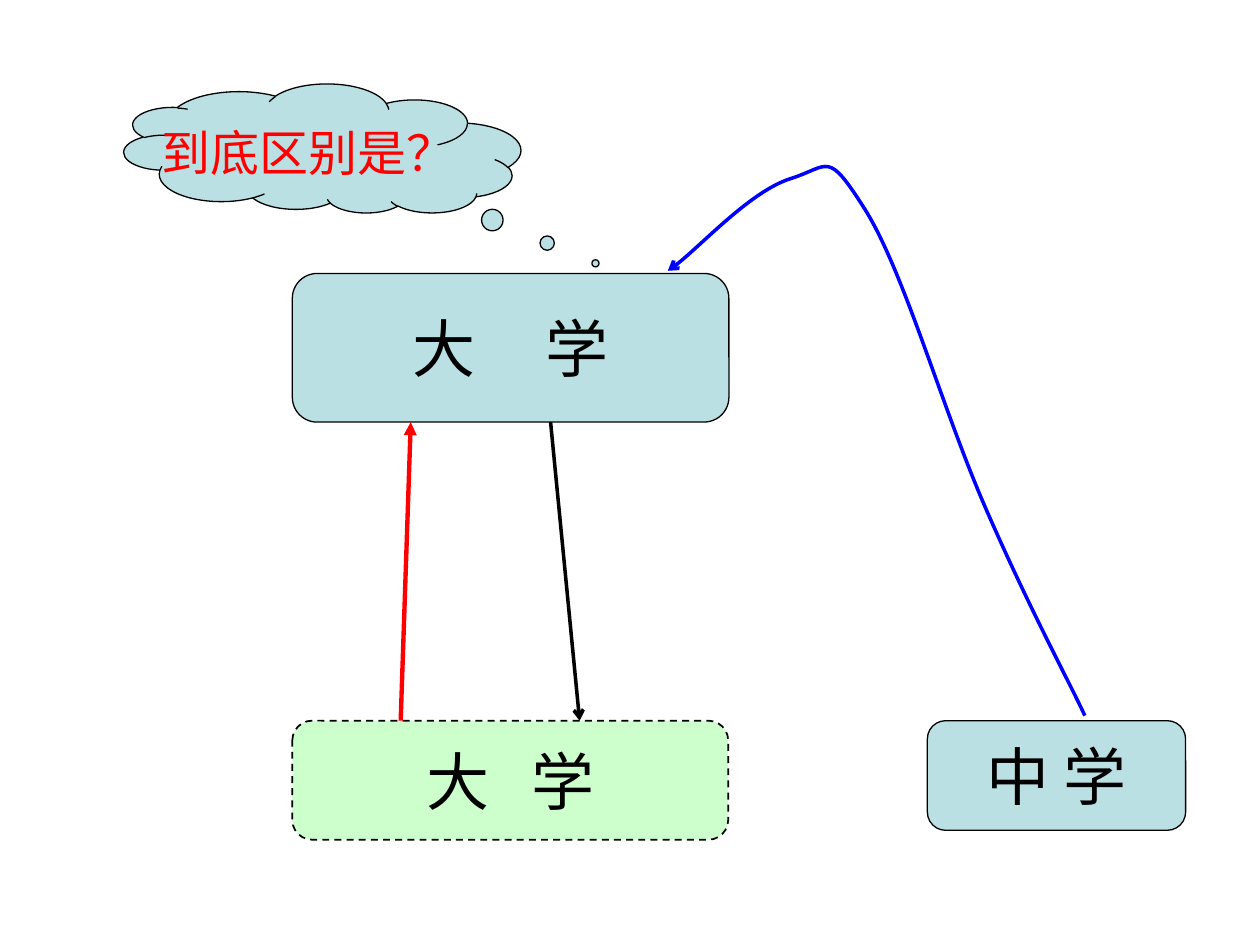
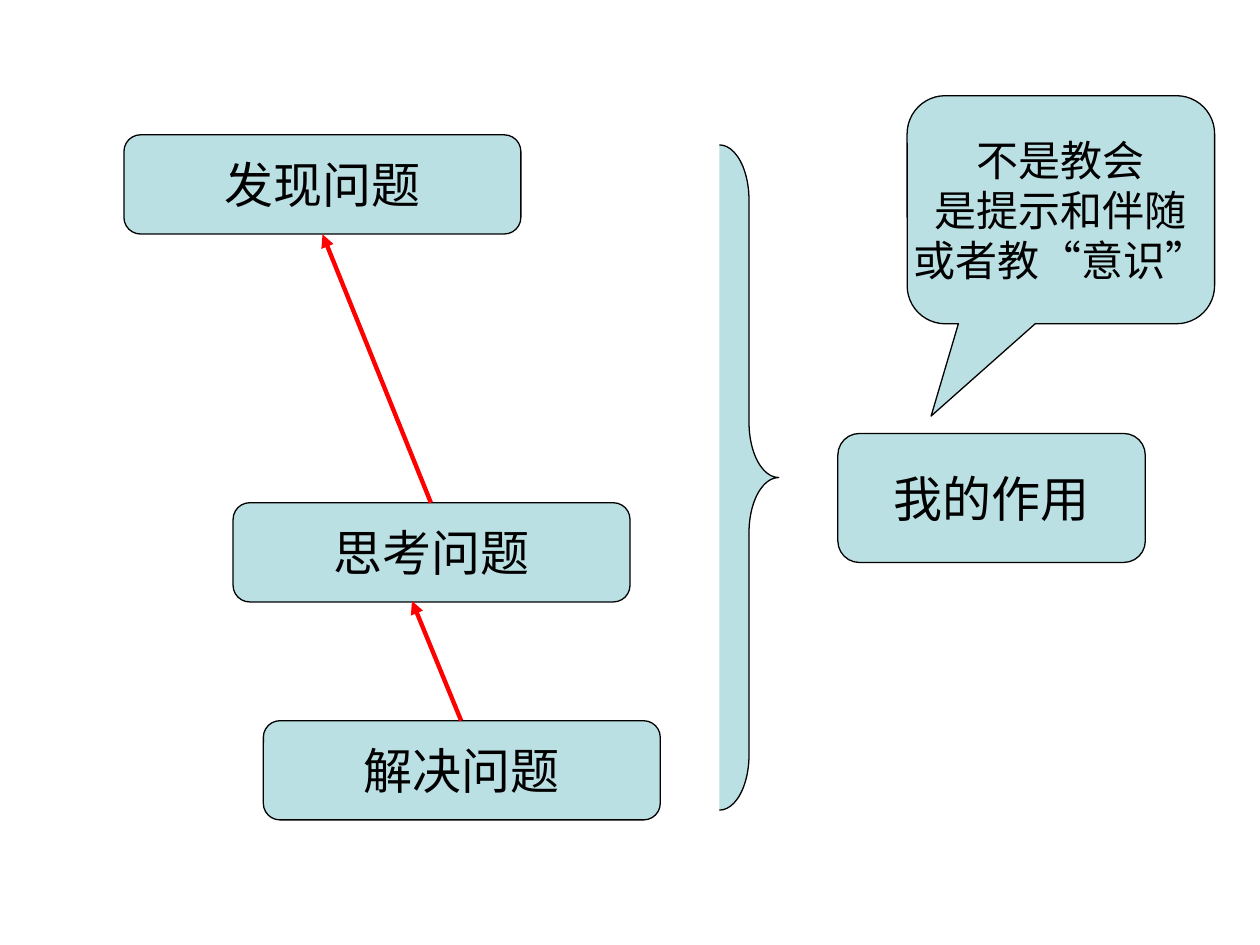
from dataclasses import dataclass
from typing import Optional

from lxml import etree
from pptx import Presentation
from pptx import util as u
from pptx.dml.color import RGBColor
from pptx.enum import dml, shapes, text
from pptx.oxml.ns import qn

Point = tuple[float, float]
Kind = shapes.MSO_SHAPE


@dataclass(frozen=True)
class Theme:
    teal: str = "BBE0E3"
    green: str = "CCFFCC"
    black: str = "000000"
    red: str = "FF0000"
    blue: str = "0000FF"
    latin: str = "Arial"
    chinese: str = "Noto Sans CJK SC"
    large: float = 36
    medium: float = 28
    small: float = 24
    outline: float = 0.75
    corner: float = 0.167


THEME = Theme()

# Grid: 100 columns by 75 rows over the whole slide
WIDTH, HEIGHT = u.Inches(10), u.Inches(7.5)
COLUMNS, ROWS = 100, 75


def across(columns: float) -> int:
    return round(WIDTH * columns / COLUMNS)


def down(rows: float) -> int:
    return round(HEIGHT * rows / ROWS)


@dataclass(frozen=True)
class Node:
    """A filled shape; place holds column, row, columns wide, rows high."""
    place: tuple[float, float, float, float]
    lines: tuple[str, ...] = ()
    size: float = THEME.medium
    kind: Kind = Kind.ROUNDED_RECTANGLE
    adjust: tuple[float, ...] = (THEME.corner,)
    fill: str = THEME.teal
    ink: str = THEME.black
    font: str = THEME.latin
    gap: float = 0  # extra points added to each space
    weight: float = THEME.outline
    dashed: bool = False
    flipped: bool = False


@dataclass(frozen=True)
class Arrow:
    begin: Point
    end: Point
    color: str = THEME.red
    weight: float = 2.5
    head: str = "triangle"


@dataclass(frozen=True)
class Curve:
    """Cubic curve: a start, then two handles and an end for each section."""
    points: tuple[Point, ...]
    color: str
    weight: float
    head: str


def style_line(line, color: str, weight: float) -> None:
    line.color.rgb = RGBColor.from_string(color)
    line.width = u.Pt(weight)


def add_head(shape, end: str, head: str) -> None:
    line = shape.element.spPr.find(qn("a:ln"))
    etree.SubElement(line, qn(f"a:{end}"), type=head)


def write_text(box, node: Node) -> None:
    frame = box.text_frame
    frame.word_wrap = False
    frame.vertical_anchor = text.MSO_ANCHOR.MIDDLE
    for index, line in enumerate(node.lines):
        para = frame.add_paragraph() if index else frame.paragraphs[0]
        para.alignment = text.PP_ALIGN.CENTER
        para.font.name = node.font
        para.font.size = u.Pt(node.size)
        para.font.color.rgb = RGBColor.from_string(node.ink)
        latin = next(para._p.iter(qn("a:latin")))
        east_asian = etree.Element(qn("a:ea"), typeface=THEME.chinese)
        latin.addnext(east_asian)
        for part in (line.partition(" ") if node.gap else (line,)):
            span = para.add_run()
            span.text = part
            if part == " ":
                span._r.get_or_add_rPr().set("spc", str(round(node.gap * 100)))


def draw_node(page, node: Node) -> None:
    left, top, width, height = node.place
    box = page.shapes.add_shape(node.kind, across(left), down(top),
                                across(width), down(height))
    box.shadow.inherit = False
    for index, value in enumerate(node.adjust):
        box.adjustments[index] = value
    box.fill.solid()
    box.fill.fore_color.rgb = RGBColor.from_string(node.fill)
    style_line(box.line, THEME.black, node.weight)
    if node.dashed:
        box.line.dash_style = dml.MSO_LINE.DASH
    if node.flipped:  # the text turns back upright
        box.element.spPr.find(qn("a:xfrm")).set("flipV", "1")
        next(box.element.iter(qn("a:bodyPr"))).set("rot", "10800000")
    write_text(box, node)


def draw_arrow(page, arrow: Arrow) -> None:
    (x1, y1), (x2, y2) = arrow.begin, arrow.end
    link = page.shapes.add_connector(shapes.MSO_CONNECTOR.STRAIGHT,
                                     across(x1), down(y1), across(x2), down(y2))
    style_line(link.line, arrow.color, arrow.weight)
    add_head(link, "tailEnd", arrow.head)
    etree.SubElement(link.element.spPr, qn("a:effectLst"))


def draw_curve(page, curve: Curve) -> None:
    start, *rest = [(across(x), down(y)) for x, y in curve.points]
    builder = page.shapes.build_freeform(*start)
    builder.add_line_segments(rest, close=False)
    shape = builder.convert_to_shape()
    shape.shadow.inherit = False
    shape.fill.background()
    style_line(shape.line, curve.color, curve.weight)
    add_head(shape, "headEnd", curve.head)
    # Every three straight steps become one cubic section
    steps = list(shape.element.iter(qn("a:lnTo")))
    for first in range(0, len(steps), 3):
        section = etree.Element(qn("a:cubicBezTo"))
        steps[first].addprevious(section)
        for step in steps[first:first + 3]:
            section.append(step[0])
            step.getparent().remove(step)


def draw_page(deck, nodes: list[Node], arrows: list[Arrow],
              curve: Optional[Curve] = None) -> None:
    page = deck.slides.add_slide(deck.slide_layouts[6])
    for node in nodes:
        draw_node(page, node)
    if curve:
        draw_curve(page, curve)
    for arrow in arrows:
        draw_arrow(page, arrow)


# Slide 1: from middle school to university
SCHOOLS = [
    Node((73.6, 57.2, 20.5, 8.7), ("中 学",), THEME.large, font=THEME.chinese),
    Node((23.2, 21.7, 34.65, 11.8), ("大 学",), THEME.large, gap=32),
    Node((23.2, 57.2, 34.6, 9.45), ("大 学",), THEME.large, fill=THEME.green,
         font=THEME.chinese, gap=16, weight=1, dashed=True),
    Node((9.84, 6.7, 31.5, 10.24), ("到底区别是？",), kind=Kind.CLOUD_CALLOUT,
         adjust=(0.688, -0.887), ink=THEME.red, flipped=True),
]
SCHOOL_ARROWS = [
    Arrow((43.7, 33.5), (46, 57.2), THEME.black, 2, "arrow"),
    Arrow((31.8, 57.2), (32.6, 33.5)),
]
ENTRANCE = Curve(
    ((53, 21.5), (54.8, 20.4), (59.6, 15.2), (62.7, 14.2),
     (65.9, 13.2), (65.6, 11.8), (68.7, 16.7),
     (71.8, 21.7), (74.8, 32.5), (78.3, 40.5),
     (81.8, 48.5), (84.8, 54), (86.1, 56.8)),
    THEME.blue, 2, "arrow")

# Slide 2: three steps and the teacher's role
STEP_WIDTH, STEP_HEIGHT = 31.5, 7.87
STEPS = [("解决问题", 20.9, 57.2), ("思考问题", 18.5, 39.9), ("发现问题", 9.84, 10.7)]
ROLE = [
    Node((57.1, 11.5, 4.7, 52.8), kind=Kind.RIGHT_BRACE, adjust=(0.93, 0.5)),
    Node((66.5, 34.4, 24.4, 10.24), ("我的作用",)),
    Node((72, 7.6, 24.4, 18.1), ("不是教会", "是提示和伴随", "或者教“意识”"),
         THEME.small, Kind.ROUNDED_RECTANGULAR_CALLOUT,
         (-0.422, -0.905, THEME.corner), flipped=True),
]
STEP_ARROWS = [
    Arrow((36.6, 57.2), (32.7, 47.7)),
    Arrow((34.2, 39.9), (25.6, 18.6)),
]


def main() -> None:
    deck = Presentation()
    deck.slide_width, deck.slide_height = WIDTH, HEIGHT
    draw_page(deck, SCHOOLS, SCHOOL_ARROWS, ENTRANCE)
    steps = [Node((left, top, STEP_WIDTH, STEP_HEIGHT), (label,))
             for label, left, top in STEPS]
    draw_page(deck, steps + ROLE, STEP_ARROWS)
    deck.save("out.pptx")


if __name__ == "__main__":
    main()
